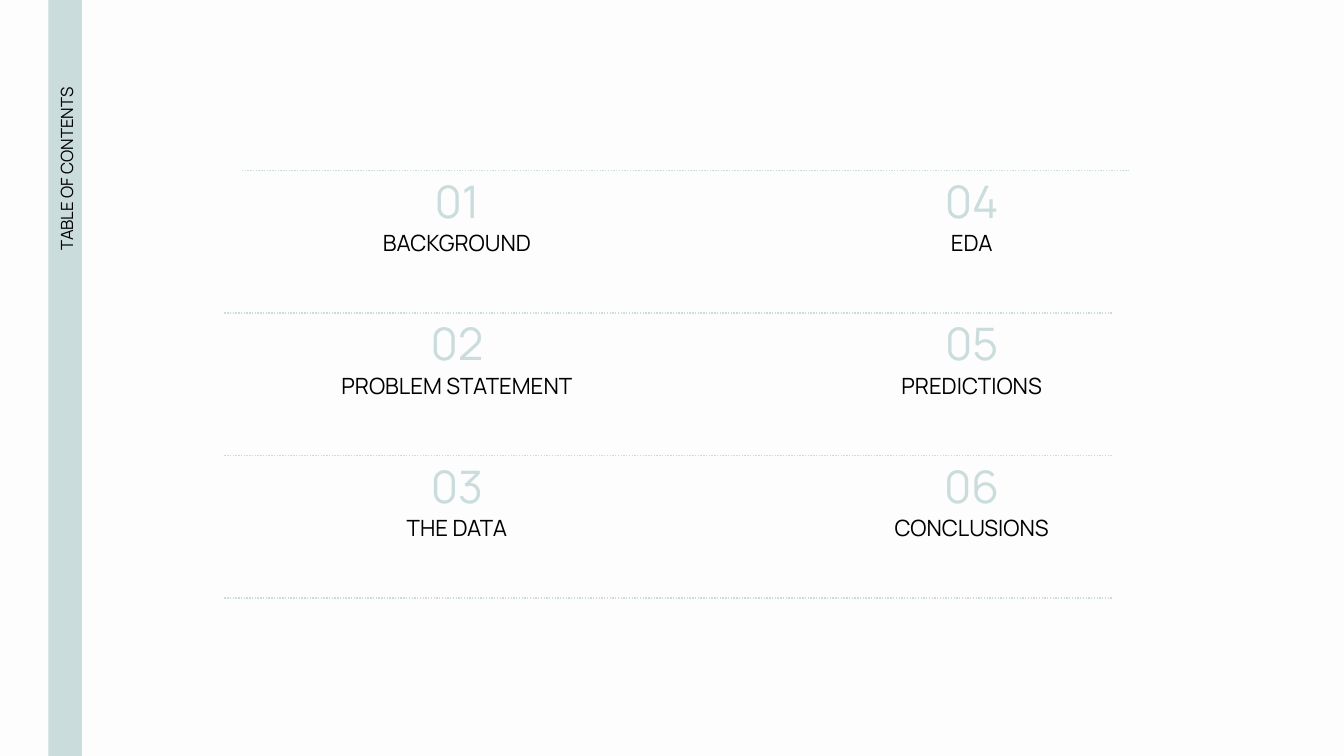
from dataclasses import dataclass

from lxml import etree
from pptx import Presentation
from pptx.dml.color import RGBColor
from pptx.enum.dml import MSO_LINE
from pptx.enum.shapes import MSO_CONNECTOR, MSO_SHAPE
from pptx.enum.text import MSO_ANCHOR, MSO_AUTO_SIZE, PP_ALIGN
from pptx.oxml.ns import qn
from pptx.util import Emu, Pt

DOTTED = MSO_LINE.ROUND_DOT
STRAIGHT = MSO_CONNECTOR.STRAIGHT
RECTANGLE = MSO_SHAPE.RECTANGLE
MIDDLE, BOTTOM = MSO_ANCHOR.MIDDLE, MSO_ANCHOR.BOTTOM
NO_AUTOFIT = MSO_AUTO_SIZE.NONE
CENTER, RIGHT = PP_ALIGN.CENTER, PP_ALIGN.RIGHT

EMU_PER_PX = 4572  # 200 px to the inch
SLIDE_WIDTH, SLIDE_HEIGHT = 2000, 1125
TEXT_INSET = 20

COLUMN_STEP, ROW_STEP = 766, 212
NUMBER_BOX = (618, 280, 124, 78)
LABEL_BOX = (328, 326, 704, 70)
FIRST_RULE_TOP, RULE_WIDTH = 254, 1322
RULE_LEFTS = (360, 334, 334, 334)

COLUMNS = (
    ("BACKGROUND", "PROBLEM STATEMENT", "THE DATA"),
    ("EDA", "PREDICTIONS", "CONCLUSIONS"),
)


@dataclass(frozen=True)
class Theme:
    font: str = "Manrope"
    background: RGBColor = RGBColor(0xFD, 0xFD, 0xFD)
    accent: RGBColor = RGBColor(0xCA, 0xDC, 0xDC)
    text: RGBColor = RGBColor(0, 0, 0)
    title_size: int = 9
    label_size: int = 12
    number_size: int = 24
    rule_width: float = 0.75


THEME = Theme()


def px(length):
    return Emu(length * EMU_PER_PX)


def place(shape, left, top, width, height):
    shape.left, shape.top = px(left), px(top)
    shape.width, shape.height = px(width), px(height)


def write_text(shape, text, size, color, anchor=MIDDLE, alignment=CENTER):
    frame = shape.text_frame
    frame.text = text
    frame.word_wrap = True
    frame.auto_size = NO_AUTOFIT
    frame.vertical_anchor = anchor
    frame.margin_left = frame.margin_right = px(TEXT_INSET)
    frame.margin_top = frame.margin_bottom = px(TEXT_INSET)
    paragraph = frame.paragraphs[0]
    paragraph.alignment = alignment
    font = paragraph.runs[0].font
    font.name = THEME.font
    font.size = Pt(size)
    font.color.rgb = color


def add_side_bar(slide):
    """Add the vertical band behind the title."""
    bar = slide.shapes.add_shape(RECTANGLE, px(72), 0, px(50), px(SLIDE_HEIGHT))
    bar.shadow.inherit = False
    bar.fill.solid()
    bar.fill.fore_color.rgb = THEME.accent
    bar.line.fill.background()
    slide.shapes.title._element.addprevious(bar._element)


def set_side_title(slide, text):
    title = slide.shapes.title
    place(title, -372, 558, 942, 46)
    title.rotation = 270
    write_text(title, text, THEME.title_size, THEME.text, alignment=RIGHT)


def add_text(slide, box, text, size, color, anchor=MIDDLE):
    text_box = slide.shapes.add_textbox(*map(px, box))
    write_text(text_box, text, size, color, anchor)


def add_entry(slide, column, row, number, label):
    def in_cell(box):
        left, top, width, height = box
        return left + column * COLUMN_STEP, top + row * ROW_STEP, width, height

    add_text(slide, in_cell(LABEL_BOX), label, THEME.label_size, THEME.text)
    add_text(slide, in_cell(NUMBER_BOX), f"{number:02d}",
             THEME.number_size, THEME.accent, BOTTOM)


def add_dotted_rule(slide, left, top):
    rule = slide.shapes.add_connector(
        STRAIGHT, px(left), px(top), px(left + RULE_WIDTH), px(top))
    rule.line.color.rgb = THEME.accent
    rule.line.width = Pt(THEME.rule_width)
    rule.line.dash_style = DOTTED
    etree.SubElement(rule._element.spPr, qn("a:effectLst"))


def main():
    presentation = Presentation()
    presentation.slide_width = px(SLIDE_WIDTH)
    presentation.slide_height = px(SLIDE_HEIGHT)
    title_only = presentation.slide_layouts.get_by_name("Title Only")
    slide = presentation.slides.add_slide(title_only)
    slide.background.fill.solid()
    slide.background.fill.fore_color.rgb = THEME.background

    add_side_bar(slide)
    set_side_title(slide, "TABLE OF CONTENTS")
    for column, labels in enumerate(COLUMNS):
        for row, label in enumerate(labels):
            number = column * len(labels) + row + 1
            add_entry(slide, column, row, number, label)
    for row, left in enumerate(RULE_LEFTS):
        add_dotted_rule(slide, left, FIRST_RULE_TOP + row * ROW_STEP)

    presentation.save("out.pptx")


if __name__ == "__main__":
    main()
